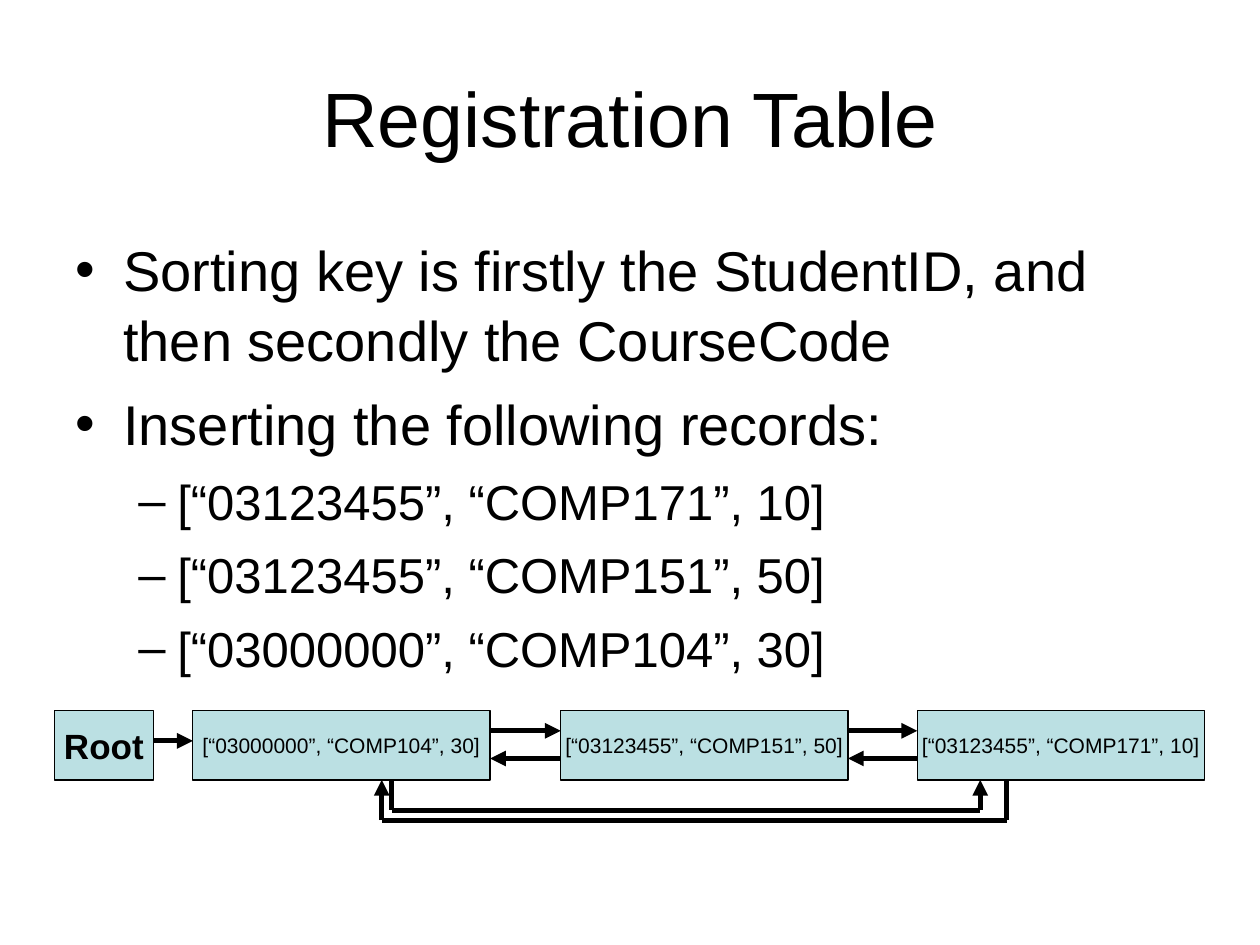
from dataclasses import dataclass
from itertools import pairwise

from lxml.etree import SubElement
from pptx import Presentation
from pptx.dml.color import RGBColor
from pptx.enum.shapes import MSO_CONNECTOR, MSO_SHAPE
from pptx.enum.text import MSO_ANCHOR, PP_ALIGN
from pptx.oxml.ns import qn
from pptx.util import Inches, Pt

BLACK = RGBColor(0x00, 0x00, 0x00)
NODE_FILL = RGBColor(0xBB, 0xE0, 0xE3)
FONT = "Arial"

NODE_TOP, NODE_HEIGHT = 5.64, 0.55
NODE_BOTTOM = NODE_TOP + NODE_HEIGHT
FORWARD_Y, BACKWARD_Y, ROOT_Y = 5.8, 6.02, 5.88

RECORDS = [
    "[“03123455”, “COMP171”, 10]",
    "[“03123455”, “COMP151”, 50]",
    "[“03000000”, “COMP104”, 30]",
]


@dataclass(frozen=True)
class BulletStyle:
    symbol: str
    level: int
    size: float
    margin: float
    hanging: float
    space_before: float


@dataclass(frozen=True)
class Node:
    text: str
    left: float
    width: float
    size: float = 12
    bold: bool = False

    @property
    def right(self) -> float:
        return self.left + self.width


POINT = BulletStyle("•", 0, 32, 0.38, 0.38, 8)
SUBPOINT = BulletStyle("–", 1, 28, 0.81, 0.31, 7)

BULLETS = [
    ("Sorting key is firstly the StudentID, and then secondly the CourseCode", POINT),
    ("Inserting the following records:", POINT),
    *((record, SUBPOINT) for record in RECORDS),
]

ROOT = Node("Root", 0.43, 0.79, 20, True)
# The list holds the records in sorted order, the reverse of insertion
RECORD_NODES = [
    Node(record, left, width)
    for record, left, width in zip(
        reversed(RECORDS), (1.53, 4.45, 7.28), (2.36, 2.28, 2.28)
    )
]


def set_font(para, size: float, bold: bool = False) -> None:
    font = para.font
    font.name, font.size, font.bold = FONT, Pt(size), bold
    font.color.rgb = BLACK


def add_bullet(para, text: str, style: BulletStyle, first: bool) -> None:
    para.text = text
    para.level = style.level
    para.line_spacing = 1.04
    para.space_before = Pt(0 if first else style.space_before)
    props = para._p.get_or_add_pPr()
    props.set("marL", str(Inches(style.margin)))
    props.set("indent", str(-Inches(style.hanging)))
    SubElement(props, qn("a:buFont"), typeface=FONT)
    SubElement(props, qn("a:buChar"), char=style.symbol)
    set_font(para, style.size)


def add_node(page, node: Node) -> None:
    box = page.shapes.add_shape(
        MSO_SHAPE.RECTANGLE, Inches(node.left), Inches(NODE_TOP),
        Inches(node.width), Inches(NODE_HEIGHT),
    )
    box.shadow.inherit = False
    box.fill.solid()
    box.fill.fore_color.rgb = NODE_FILL
    box.line.color.rgb = BLACK
    box.line.width = Pt(0.75)
    frame = box.text_frame
    frame.word_wrap = False
    frame.vertical_anchor = MSO_ANCHOR.MIDDLE
    para = frame.paragraphs[0]
    para.text = node.text
    para.alignment = PP_ALIGN.CENTER
    set_font(para, node.size, node.bold)


def add_arrow(page, *points: tuple[float, float]) -> None:
    """Draw straight segments through the points, with a head on the last."""
    for start, end in pairwise(points):
        segment = page.shapes.add_connector(
            MSO_CONNECTOR.STRAIGHT, *map(Inches, (*start, *end))
        )
        segment.line.color.rgb = BLACK
        segment.line.width = Pt(3)
        SubElement(segment._element.spPr, qn("a:effectLst"))
    outline = segment._element.spPr.find(qn("a:ln"))
    SubElement(outline, qn("a:tailEnd"), type="triangle")


def add_loop(page, start_x: float, end_x: float, depth_y: float) -> None:
    add_arrow(
        page, (start_x, NODE_BOTTOM), (start_x, depth_y),
        (end_x, depth_y), (end_x, NODE_BOTTOM),
    )


def main() -> None:
    deck = Presentation()
    deck.slide_width, deck.slide_height = Inches(10), Inches(7.5)
    page = deck.slides.add_slide(deck.slide_layouts[5])

    # Title
    title = page.shapes.title
    title.left, title.top = Inches(0.5), Inches(0.3)
    title.width, title.height = Inches(9), Inches(1.25)
    title.text_frame.vertical_anchor = MSO_ANCHOR.MIDDLE
    heading = title.text_frame.paragraphs[0]
    heading.text = "Registration Table"
    heading.alignment = PP_ALIGN.CENTER
    set_font(heading, 44)

    # Bulleted text
    body = page.shapes.add_textbox(Inches(0.5), Inches(1.75), Inches(9), Inches(4.95))
    frame = body.text_frame
    frame.word_wrap = True
    frame.margin_top = Inches(0.1)
    for index, (text, style) in enumerate(BULLETS):
        para = frame.add_paragraph() if index else frame.paragraphs[0]
        add_bullet(para, text, style, first=index == 0)

    # Linked list nodes
    for node in (ROOT, *RECORD_NODES):
        add_node(page, node)

    # Links between neighbours
    add_arrow(page, (ROOT.right, ROOT_Y), (RECORD_NODES[0].left, ROOT_Y))
    for before, after in pairwise(RECORD_NODES):
        add_arrow(page, (before.right, FORWARD_Y), (after.left, FORWARD_Y))
        add_arrow(page, (after.left, BACKWARD_Y), (before.right, BACKWARD_Y))

    # Circular links between the first and last records
    add_loop(page, 7.99, 3.03, 6.51)
    add_loop(page, 3.11, 7.78, 6.43)

    deck.save("out.pptx")


if __name__ == "__main__":
    main()
